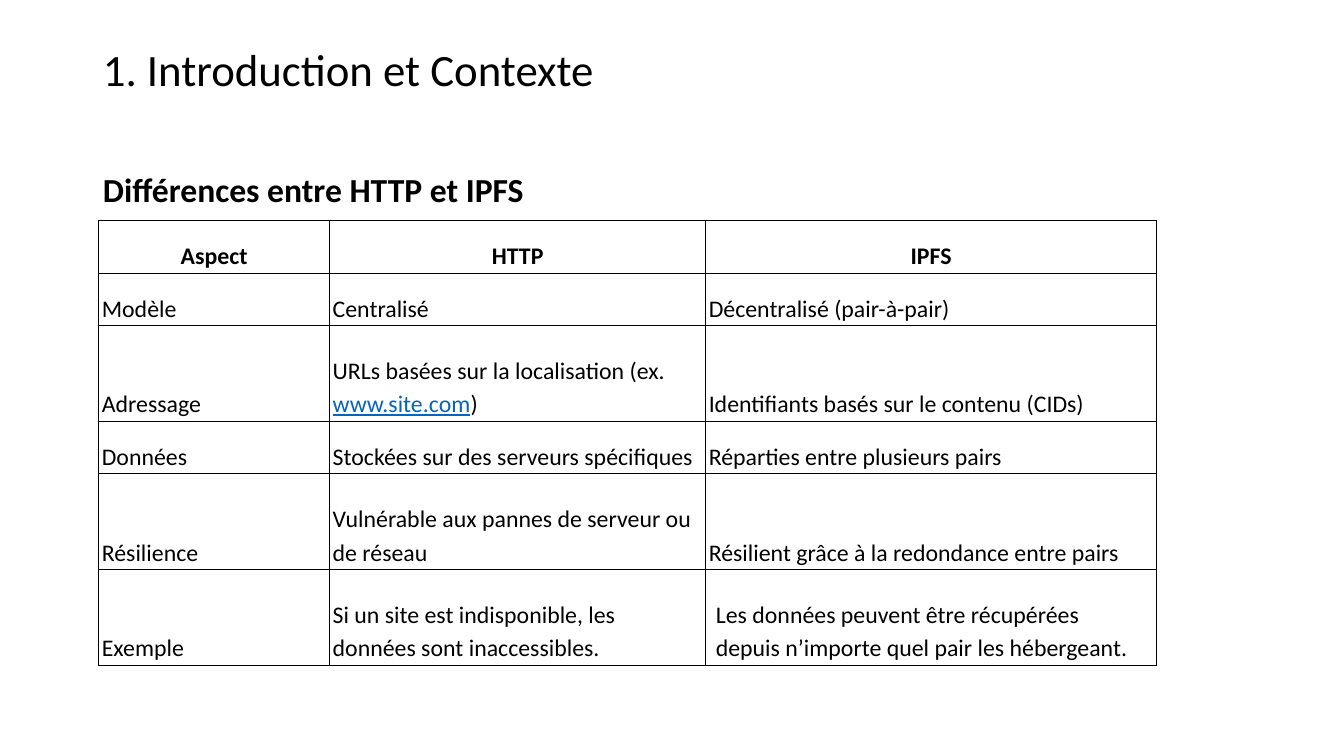
from lxml import etree
from pptx import Presentation
from pptx.dml.color import RGBColor
from pptx.enum.text import MSO_ANCHOR as Anchor, MSO_AUTO_SIZE as Fit, PP_ALIGN as Align
from pptx.oxml.ns import qn
from pptx.util import Inches, Pt

BLACK = RGBColor(0x00, 0x00, 0x00)
BLUE = RGBColor(0x05, 0x63, 0xC1)
LINK = "www.site.com"
WIDTHS = [2.29, 3.73, 4.47]
HEIGHTS = [0.52, 0.52, 0.95, 0.52, 0.95, 0.95]
ROWS = [
    ["Aspect", "HTTP", "IPFS"],
    ["Modèle", "Centralisé", "Décentralisé (pair-à-pair)"],
    ["Adressage", f"URLs basées sur la localisation (ex. {LINK})",
     "Identifiants basés sur le contenu (CIDs)"],
    ["Données", "Stockées sur des serveurs spécifiques", "Réparties entre plusieurs pairs"],
    ["Résilience", "Vulnérable aux pannes de serveur ou de réseau",
     "Résilient grâce à la redondance entre pairs"],
    ["Exemple", "Si un site est indisponible, les données sont inaccessibles.",
     "Les données peuvent être récupérées depuis n’importe quel pair les hébergeant."],
]


def style(run, size, bold=False, color=BLACK):
    font = run.font
    font.name = "Calibri"
    font.size = Pt(size)
    font.bold = bold
    font.color.rgb = color


def border(cell):
    props = cell._tc.get_or_add_tcPr()
    for spot, side in enumerate(["lnL", "lnR", "lnT", "lnB"]):
        line = etree.Element(qn(f"a:{side}"), w=str(Pt(0.75)))
        fill = etree.SubElement(line, qn("a:solidFill"))
        etree.SubElement(fill, qn("a:srgbClr"), val=str(BLACK))
        props.insert(spot, line)


prs = Presentation()
prs.slide_width = Inches(13.33)
prs.slide_height = Inches(7.5)
slide = prs.slides.add_slide(prs.slide_layouts[1])
title, body = slide.placeholders

heads = [
    (title, "1. Introduction et Contexte", (0.92, 0.4, 11.5, 0.63), 32, False, 0.9, 0),
    (body, "Différences entre HTTP et IPFS", (0.92, 1.57, 11.51, 1.14), 24, True, 1.15, 12),
]
for shape, text, box, size, bold, space, before in heads:
    shape.left, shape.top, shape.width, shape.height = map(Inches, box)
    frame = shape.text_frame
    frame.text = text
    frame.word_wrap = True
    frame.auto_size = Fit.NONE
    para = frame.paragraphs[0]
    para.alignment = Align.LEFT
    para.line_spacing = space
    para.space_before = Pt(before)
    style(para.runs[0], size, bold)

props = body.text_frame.paragraphs[0]._p.get_or_add_pPr()
props.set("marL", "0")
props.set("indent", "0")
etree.SubElement(props, qn("a:buNone"))

frame = slide.shapes.add_table(len(ROWS), len(WIDTHS), Inches(0.98), Inches(2.19),
                               Inches(sum(WIDTHS)), Inches(sum(HEIGHTS)))
table = frame.table
table.first_row = False
table.horz_banding = False
for col, width in zip(table.columns, WIDTHS):
    col.width = Inches(width)
for row, height in zip(table.rows, HEIGHTS):
    row.height = Inches(height)

for r, texts in enumerate(ROWS):
    for c, text in enumerate(texts):
        cell = table.cell(r, c)
        cell.fill.background()
        border(cell)
        cell.vertical_anchor = Anchor.BOTTOM
        cell.margin_left = cell.margin_right = Inches(0.03)
        cell.margin_top = cell.margin_bottom = Inches(0.02)
        para = cell.text_frame.paragraphs[0]
        para.line_spacing = 1.15
        para.alignment = Align.CENTER if r == 0 else Align.LEFT
        start, link, end = text.partition(LINK)
        for part in filter(None, [start, link, end]):
            run = para.add_run()
            run.text = part
            style(run, 17, r == 0, BLUE if part == LINK else BLACK)
            if part == LINK:
                run.font.underline = True

last = table.cell(len(ROWS) - 1, len(WIDTHS) - 1)
last.margin_left = last.margin_right = Inches(0.1)

prs.save("out.pptx")
